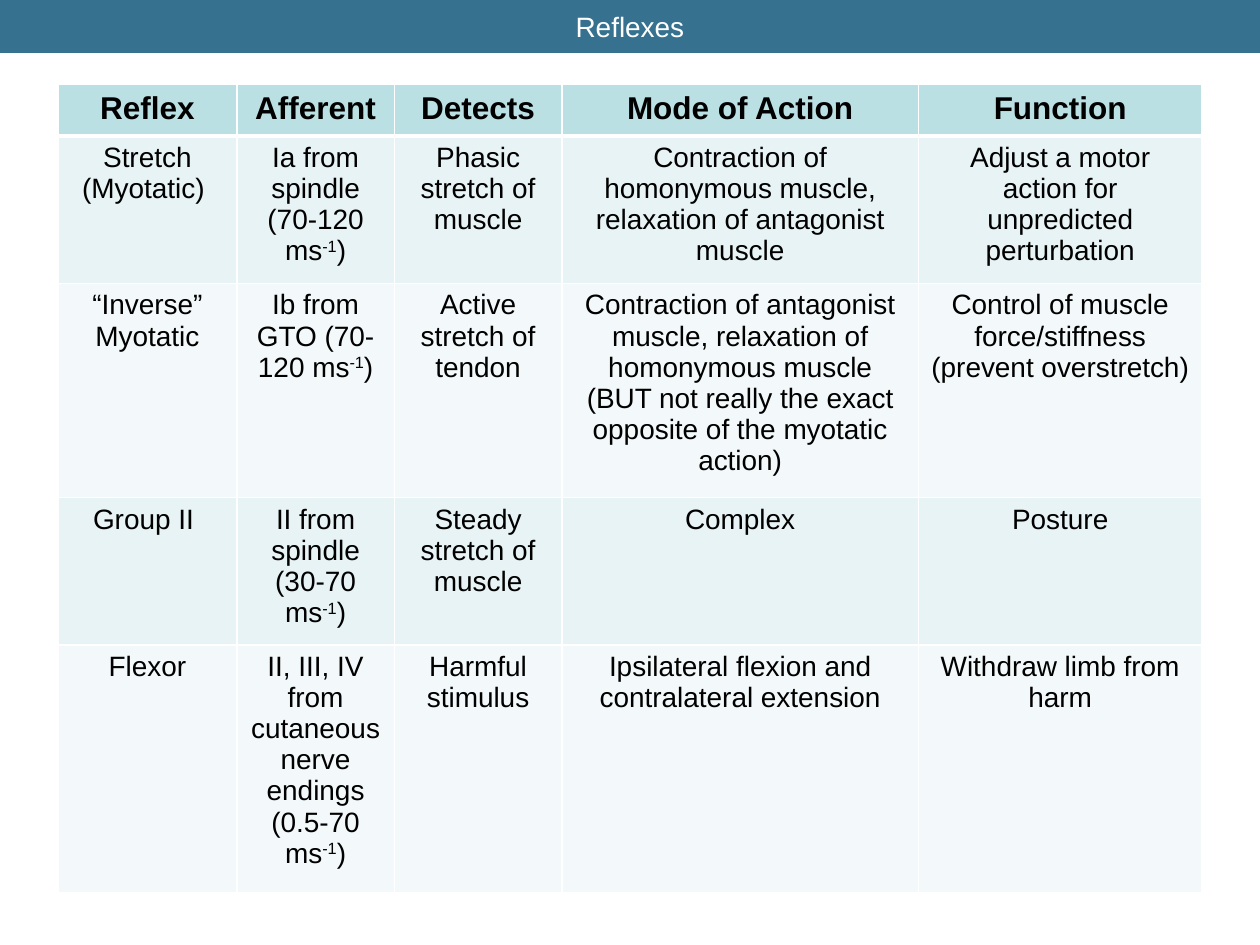
from pptx import Presentation
from pptx import util as u
from pptx.dml.color import RGBColor
from pptx.enum import shapes, text
from pptx.oxml import parse_xml
from pptx.oxml.ns import nsdecls

COLORS = {
    "banner": "36718F",
    "header": "BBE0E3",
    "odd_row": "E7F3F4",
    "even_row": "F3F9FA",
    "white": "FFFFFF",
    "black": "000000",
}
COLUMN_WIDTHS = [1.42, 1.25, 1.33, 2.83, 2.25]
ROW_HEIGHTS = [0.41, 1.17, 1.7, 1.17, 1.97]
REFLEXES = [
    ["Reflex", "Afferent", "Detects", "Mode of Action", "Function"],
    [
        "Stretch (Myotatic) ",
        "Ia from spindle (70-120 ms^-1^)",
        "Phasic stretch of muscle",
        "Contraction of homonymous muscle, relaxation of antagonist muscle",
        "Adjust a motor action for unpredicted perturbation",
    ],
    [
        "“Inverse” Myotatic",
        "Ib from GTO (70-120 ms^-1^)",
        "Active stretch of tendon",
        "Contraction of antagonist muscle, relaxation of homonymous muscle\n"
        "(BUT not really the exact opposite of the myotatic action)",
        "Control of muscle force/stiffness (prevent overstretch)",
    ],
    [
        "Group II ",
        "II from spindle (30-70 ms^-1^)",
        "Steady stretch of muscle",
        "Complex",
        "Posture",
    ],
    [
        "Flexor",
        "II, III, IV from cutaneous nerve endings (0.5-70 ms^-1^)",
        "Harmful stimulus",
        "Ipsilateral flexion and contralateral extension",
        "Withdraw limb from harm",
    ],
]


def color(name):
    return RGBColor.from_string(COLORS[name])


def write_text(frame, content, size=16, bold=False, ink="black"):
    frame.word_wrap = True
    for index, line in enumerate(content.split("\n")):
        para = frame.add_paragraph() if index else frame.paragraphs[0]
        para.alignment = text.PP_ALIGN.CENTER
        for position, part in enumerate(line.split("^")):
            span = para.add_run()
            span.text = part
            span.font.name = "Arial"
            span.font.size = u.Pt(size)
            span.font.bold = bold
            span.font.color.rgb = color(ink)
            if position % 2:
                span.font._element.set("baseline", "30000")


def add_banner(page, title):
    banner = page.shapes.add_shape(
        shapes.MSO_SHAPE.RECTANGLE, 0, 0, u.Inches(10), u.Inches(0.42)
    )
    banner.shadow.inherit = False
    banner.fill.solid()
    banner.fill.fore_color.rgb = color("banner")
    banner.line.fill.background()
    banner.text_frame.vertical_anchor = text.MSO_ANCHOR.MIDDLE
    write_text(banner.text_frame, title, ink="white")


def set_borders(cell, **widths):
    properties = cell._tc.get_or_add_tcPr()
    for side in "LRTB":
        width = u.Pt(widths.get(side, 1))
        properties.append(parse_xml(
            f'<a:ln{side} {nsdecls("a")} w="{width}"><a:solidFill>'
            f'<a:srgbClr val="{COLORS["white"]}"/></a:solidFill></a:ln{side}>'
        ))


def fill_cell(cell, content, row):
    heading = row == 0
    set_borders(cell, T=3 if row == 1 else 1, B=3 if heading else 1)
    cell.fill.solid()
    cell.fill.fore_color.rgb = color(
        "header" if heading else "odd_row" if row % 2 else "even_row"
    )
    cell.margin_left = cell.margin_right = u.Inches(0.1)
    cell.margin_top = cell.margin_bottom = u.Inches(0.05)
    write_text(cell.text_frame, content, size=18 if heading else 16, bold=heading)


def add_reflex_table(page):
    table = page.shapes.add_table(
        len(ROW_HEIGHTS), len(COLUMN_WIDTHS), u.Inches(0.46), u.Inches(0.67),
        u.Inches(sum(COLUMN_WIDTHS)), u.Inches(sum(ROW_HEIGHTS)),
    ).table
    for column, width in zip(table.columns, COLUMN_WIDTHS):
        column.width = u.Inches(width)
    for row, height in zip(table.rows, ROW_HEIGHTS):
        row.height = u.Inches(height)
    for row, entries in enumerate(REFLEXES):
        for column, content in enumerate(entries):
            fill_cell(table.cell(row, column), content, row)


def main():
    deck = Presentation()
    deck.slide_width, deck.slide_height = u.Inches(10), u.Inches(7.5)
    page = deck.slides.add_slide(deck.slide_layouts[6])
    add_banner(page, "Reflexes")
    add_reflex_table(page)
    deck.save("out.pptx")


if __name__ == "__main__":
    main()
